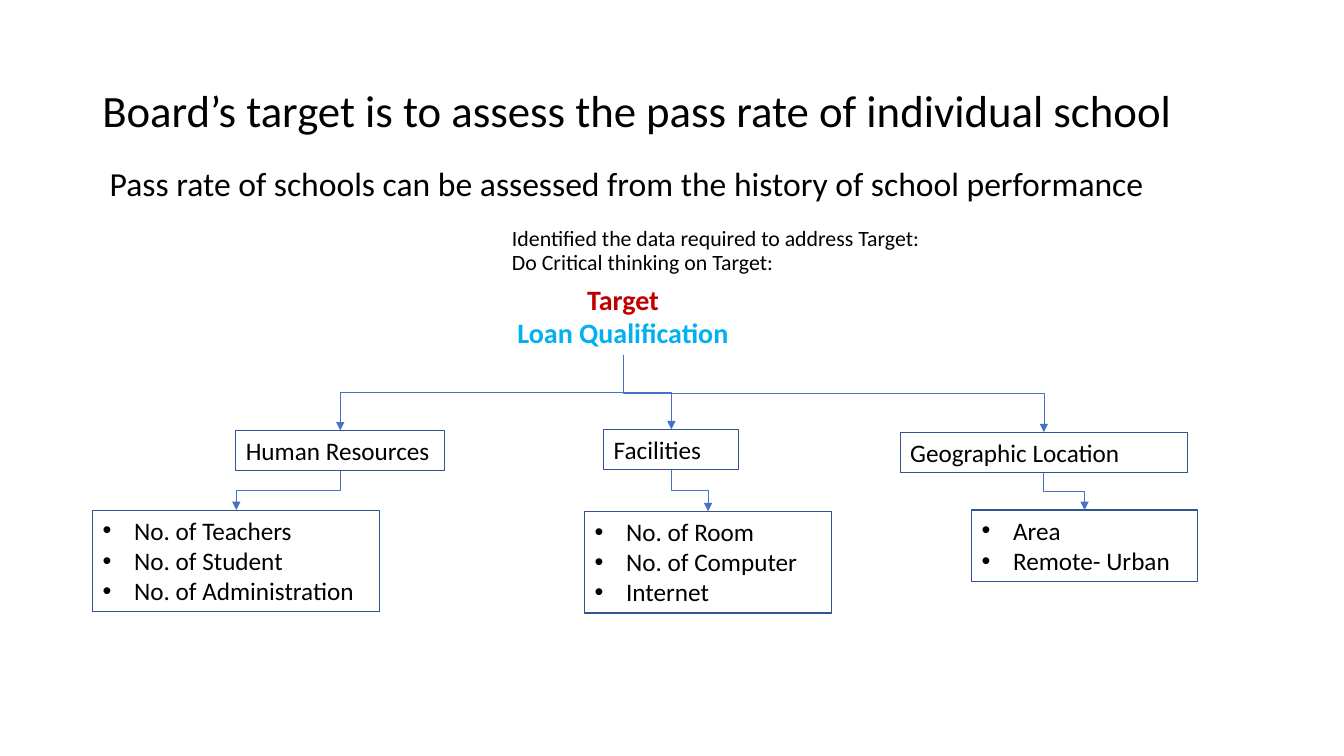
from lxml import etree
from pptx import Presentation
from pptx import util as u
from pptx.dml.color import RGBColor
from pptx.enum import shapes, text
from pptx.oxml import ns

COLORS = {"black": "000000", "target": "C00000", "loan": "00B0F0",
          "border": "325491", "arrow": "4472C4"}

deck = Presentation()
deck.slide_width, deck.slide_height = u.Pt(960), u.Pt(540)
page = deck.slides.add_slide(deck.slide_layouts[6])


def add_text(lines, place, size=18, colors=("black",), bold=False, centered=False,
             middle=False, spacing=None, framed=False, bulleted=False):
    place = [u.Pt(length) for length in place]
    if framed:
        box = page.shapes.add_shape(shapes.MSO_SHAPE.RECTANGLE, *place)
        box.shadow.inherit = False
        box.fill.background()
        box.line.color.rgb = RGBColor.from_string(COLORS["border"])
        box.line.width = u.Pt(0.75)
    else:
        box = page.shapes.add_textbox(*place)
    frame = box.text_frame
    frame.word_wrap = True
    frame.vertical_anchor = text.MSO_ANCHOR.MIDDLE if middle else text.MSO_ANCHOR.TOP
    for index, line in enumerate(lines):
        para = frame.add_paragraph() if index else frame.paragraphs[0]
        para.alignment = text.PP_ALIGN.CENTER if centered else text.PP_ALIGN.LEFT
        if spacing:
            para.line_spacing = spacing
        if bulleted:
            props = para._p.get_or_add_pPr()
            props.set("marL", str(u.Pt(22.5)))
            props.set("indent", str(u.Pt(-22.5)))
            etree.SubElement(props, ns.qn("a:buFont")).set("typeface", "Arial")
            etree.SubElement(props, ns.qn("a:buChar")).set("char", "•")
        span = para.add_run()
        span.text = line
        span.font.name = "Calibri"
        span.font.size = u.Pt(size)
        span.font.bold = bold
        span.font.color.rgb = RGBColor.from_string(COLORS[colors[index % len(colors)]])


def add_arrow(start_x, start_y, end_x, end_y):
    middle_x, middle_y = (start_x + end_x) / 2, (start_y + end_y) / 2
    half_run = (end_y - start_y) / 2
    half_rise = abs(end_x - start_x) / 2
    rightward = end_x > start_x
    if rightward:
        half_run = -half_run
    arrow = page.shapes.add_connector(
        shapes.MSO_CONNECTOR.ELBOW,
        u.Pt(middle_x - half_run), u.Pt(middle_y - half_rise),
        u.Pt(middle_x + half_run), u.Pt(middle_y + half_rise))
    arrow.line.color.rgb = RGBColor.from_string(COLORS["arrow"])
    arrow.line.width = u.Pt(0.5)
    props = arrow._element.spPr
    props.find(ns.qn("a:xfrm")).set("rot", str((270 if rightward else 90) * 60000))
    etree.SubElement(arrow.line._get_or_add_ln(), ns.qn("a:tailEnd")).set("type", "triangle")
    etree.SubElement(props, ns.qn("a:effectLst"))


add_text(["Board’s target is to assess the pass rate of individual school"],
         (66, 28.75, 828, 104.4), size=32, middle=True, spacing=0.9)
add_text(["Pass rate of schools can be assessed from the history of school performance"],
         (71.3, 113, 818, 36), size=24)
add_text(["Identified the data required to address Target:", "Do Critical thinking on Target:"],
         (358.6, 133.2, 324.7, 92.9), size=15.6, middle=True, spacing=0.9)
add_text(["Target", "Loan Qualification"], (358.6, 198, 172.8, 55.4),
         size=20, colors=("target", "loan"), bold=True, centered=True)

branches = [
    ("Human Resources", (168.5, 307.4, 149, 29),
     ["No. of Teachers", "No. of Student", "No. of Administration"], (66.2, 364.3, 205.2, 72.7)),
    ("Facilities", (431.3, 306.7, 96.5, 29),
     ["No. of Room", "No. of Computer", "Internet"], (417.6, 365.2, 176.4, 72.7)),
    ("Geographic Location", (643, 308.7, 205.2, 29),
     ["Area", "Remote- Urban"], (694.1, 364.3, 161.3, 50.9)),
]
for heading, heading_place, factors, factors_place in branches:
    add_text([heading], heading_place, framed=True)
    add_text(factors, factors_place, framed=True, bulleted=True)
    left, top, width, height = heading_place
    heading_x = left + width / 2
    factors_x = factors_place[0] + factors_place[2] / 2
    add_arrow(445, 253.4, heading_x, top)
    add_arrow(heading_x, top + height, factors_x, factors_place[1])

deck.save("out.pptx")
